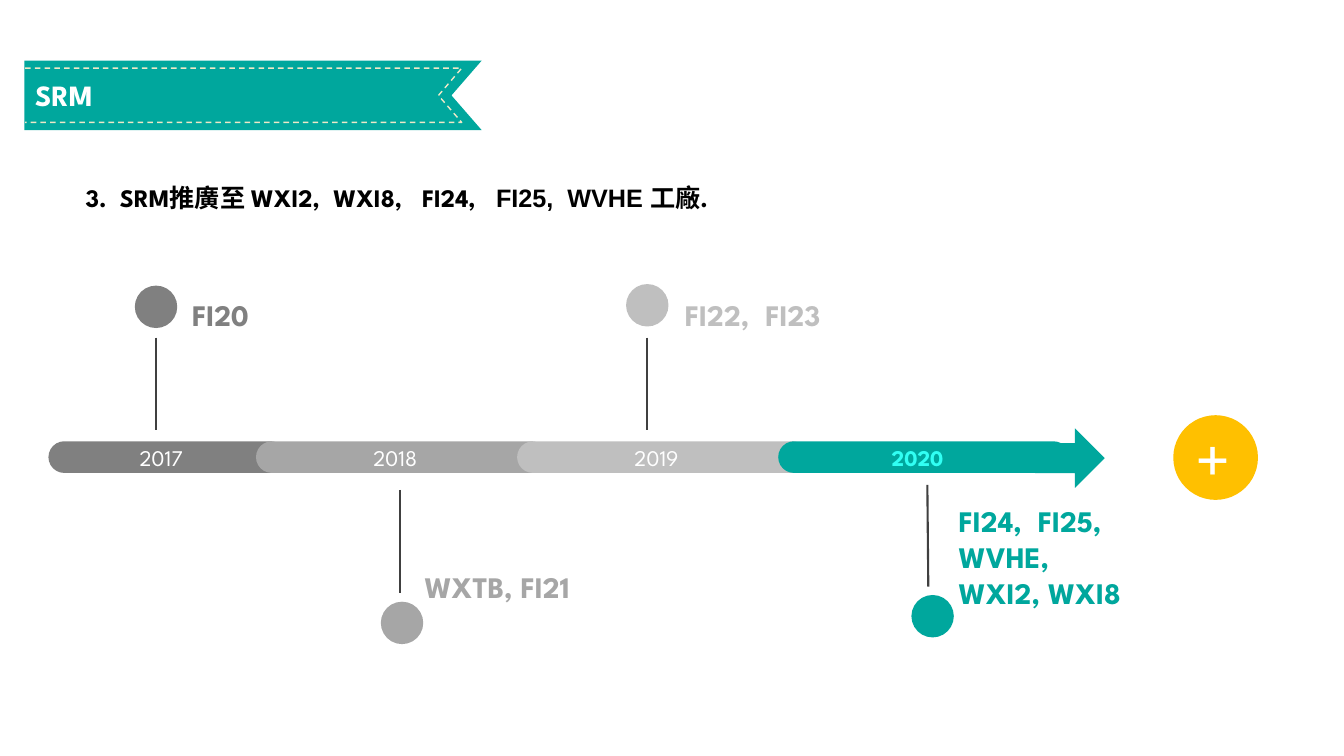
import pptx
import pptx.util
import pptx.dml.color
import pptx.enum.dml
import pptx.enum.shapes
import pptx.enum.text
import pptx.oxml.ns
import lxml.etree

Pt = pptx.util.Pt
RGBColor = pptx.dml.color.RGBColor
SHAPE = pptx.enum.shapes.MSO_SHAPE
ALIGN = pptx.enum.text.PP_ALIGN
ANCHOR = pptx.enum.text.MSO_ANCHOR

TEAL = RGBColor(0x00, 0xA7, 0x9D)
AQUA = RGBColor(0x31, 0xFF, 0xF3)
DARK_GREY = RGBColor(0x80, 0x80, 0x80)
MID_GREY = RGBColor(0xA6, 0xA6, 0xA6)
LIGHT_GREY = RGBColor(0xBF, 0xBF, 0xBF)
STEM_GREY = RGBColor(0x40, 0x40, 0x40)
CREAM = RGBColor(0xED, 0xE8, 0xC7)
AMBER = RGBColor(0xFF, 0xC0, 0x00)
WHITE = RGBColor(0xFF, 0xFF, 0xFF)
BLACK = RGBColor(0x00, 0x00, 0x00)
SPARTAN = "League Spartan"

TITLE = "SRM"
HEADING = [
    ("3.  SRM推廣至 WXI2,  WXI8,   FI24,   ", SPARTAN),
    ("FI25,  WVHE ", "Arial"),
    ("工廠.", SPARTAN),
]
BANNER = [(344, 92.9), (17.4, 92.9), (17.4, 43.4), (344, 43.4), (322.5, 68.2)]
STITCHING = [(18, 48.7), (329.8, 48.7), (313.2, 68.2), (329.8, 87.4), (18, 87.4)]

# year, colour, year text format, dot left/top, stem from/to, label, label box
MILESTONES = [
    ("2017", DARK_GREY, {"color": WHITE}, (96.3, 204), (111.6, 241.2, 111.6, 307.4),
     "FI20", (130.1, 208.1, 87.8, 33.1)),
    ("2018", MID_GREY, {"color": WHITE}, (272, 429.8), (285.8, 350, 285.8, 423.4),
     "WXTB, FI21", (296.2, 402.5, 133.9, 33.1)),
    ("2019", LIGHT_GREY, {"color": WHITE}, (447.2, 202.9), (462.2, 241.2, 462.2, 307.4),
     "FI22,  FI23", (482.2, 208.1, 121, 33.1)),
    ("2020", TEAL, {"color": AQUA, "bold": True}, (651, 425), (662.4, 346.3, 663.1, 419),
     "FI24,  FI25, WVHE, WXI2, WXI8", (677.7, 355.7, 138.2, 85)),
]
BAR_TOP, BAR_HEIGHT, BAR_STEP = 315.2, 22.6, 186.5
FIRST_LEFT, FIRST_WIDTH = 34.6, 170
SECOND_LEFT, BAR_WIDTH = 182.9, 208
DOT = 30.3


def write(para, text, size, color, name=SPARTAN, bold=False):
    span = para.add_run()
    span.text = text
    for key, value in {"size": Pt(size), "name": name, "bold": bold}.items():
        setattr(span.font, key, value)
    span.font.color.rgb = color


def add_box(page, place, wrap=True):
    box = page.shapes.add_textbox(*map(Pt, place))
    box.text_frame.word_wrap = wrap
    return box.text_frame.paragraphs[0]


def add_filled(page, kind, place, color):
    shape = page.shapes.add_shape(kind, *map(Pt, place))
    shape.shadow.inherit = False
    shape.fill.solid()
    shape.fill.fore_color.rgb = color
    shape.line.fill.background()
    return shape


def add_outline(page, points, close):
    corners = [(Pt(x), Pt(y)) for x, y in points]
    builder = page.shapes.build_freeform(*corners[0], scale=1.0)
    builder.add_line_segments(corners[1:], close=close)
    outline = builder.convert_to_shape()
    outline.shadow.inherit = False
    return outline


def add_stem(page, ends):
    stem = page.shapes.add_connector(pptx.enum.shapes.MSO_CONNECTOR.STRAIGHT, *map(Pt, ends))
    stem.line.color.rgb = STEM_GREY
    stem.line.width = Pt(1.5)
    lxml.etree.SubElement(stem._element.spPr, pptx.oxml.ns.qn("a:effectLst"))


def add_banner(page):
    ribbon = add_outline(page, BANNER, True)
    ribbon.fill.solid()
    ribbon.fill.fore_color.rgb = TEAL
    ribbon.line.fill.background()
    stitching = add_outline(page, STITCHING, False)
    stitching.fill.background()
    stitching.line.color.rgb = CREAM
    stitching.line.width = Pt(1)
    stitching.line.dash_style = pptx.enum.dml.MSO_LINE.DASH
    write(add_box(page, (18, 51.8, 318.2, 32.4)), TITLE, 21, WHITE, bold=True)


def add_year_bar(page, index, year, color, year_format):
    left, width = FIRST_LEFT, FIRST_WIDTH
    if index:
        left, width = SECOND_LEFT + (index - 1) * BAR_STEP, BAR_WIDTH
    bar = add_filled(page, SHAPE.ROUNDED_RECTANGLE, (left, BAR_TOP, width, BAR_HEIGHT), color)
    bar.adjustments[0] = 0.5
    frame = bar.text_frame
    for key, value in {"vertical_anchor": ANCHOR.MIDDLE, "margin_right": Pt(16)}.items():
        setattr(frame, key, value)
    frame.paragraphs[0].alignment = ALIGN.CENTER
    write(frame.paragraphs[0], year, 16, **year_format)


def main():
    deck = pptx.Presentation()
    deck.slide_width, deck.slide_height = Pt(960), Pt(540)
    page = deck.slides.add_slide(deck.slide_layouts[6])

    add_banner(page)
    heading = add_box(page, (54, 122.4, 862.6, 33.1))
    heading.line_spacing = 1.2
    for text, name in HEADING:
        write(heading, text, 18, BLACK, name, True)

    for index, (year, color, year_format, dot, stem, label, place) in enumerate(MILESTONES):
        add_year_bar(page, index, year, color, year_format)
        add_filled(page, SHAPE.OVAL, (*dot, DOT, DOT), color)
        add_stem(page, stem)
        write(add_box(page, place), label, 21.3, color, bold=True)
    add_filled(page, SHAPE.RIGHT_ARROW, (739.4, 306, 49.7, 42.5), TEAL)

    add_filled(page, SHAPE.OVAL, (838.1, 296.6, 60.5, 60.5), AMBER)
    plus = add_box(page, (846.7, 300.2, 43.9, 59.8), wrap=False)
    plus.line_spacing = 0.9
    write(plus, "+", 48, WHITE)

    deck.save("out.pptx")


if __name__ == "__main__":
    main()
